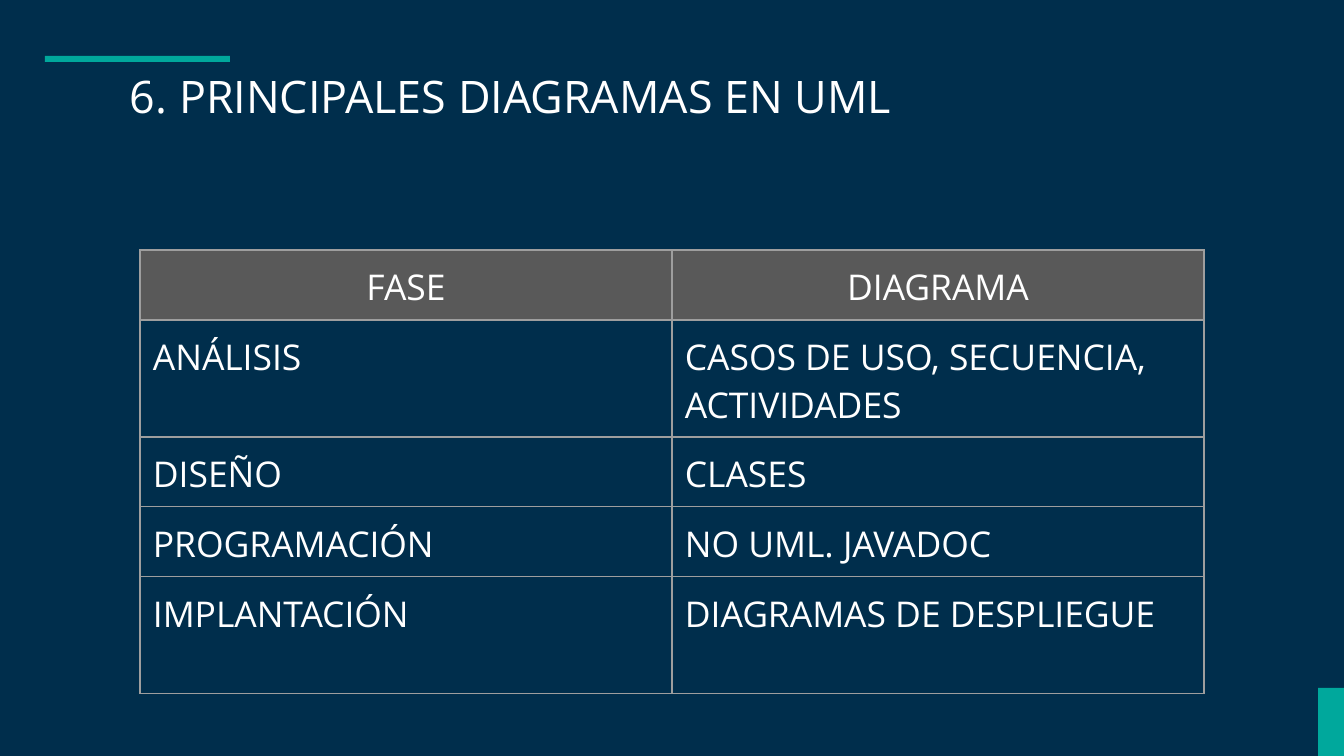
from lxml import etree
from pptx import Presentation
from pptx import util as u
from pptx.dml import color
from pptx.enum import shapes, text
from pptx.oxml import ns

SCALE = 914400 / 134.4  # EMU per px
WIDTH, HEIGHT = 1344, 756
NAVY, TEAL, WHITE, GRAY, BORDER = "002E4C", "00A89C", "FFFFFF", "595959", "9E9E9E"
INSETS = {"margin_left": 13, "margin_right": 13, "margin_top": 13, "margin_bottom": 13}

PHASES = [
    ("FASE", "DIAGRAMA"),
    ("ANÁLISIS", "CASOS DE USO, SECUENCIA, ACTIVIDADES"),
    ("DISEÑO", "CLASES"),
    ("PROGRAMACIÓN", "NO UML. JAVADOC"),
    ("IMPLANTACIÓN", "DIAGRAMAS DE DESPLIEGUE"),
]
ROW_HEIGHTS = [70, 117, 70, 70, 117]


def px(length):
    return u.Emu(round(length * SCALE))


def rgb(value):
    return color.RGBColor.from_string(value)


def paint(fill, value):
    fill.solid()
    fill.fore_color.rgb = rgb(value)


def set_insets(target):
    for side, length in INSETS.items():
        setattr(target, side, px(length))


def write(paragraph, words, size, align):
    run = paragraph.add_run()
    run.text = words
    paragraph.alignment = align
    for name, value in {"name": "Open Sans", "size": u.Pt(size), "bold": False}.items():
        setattr(run.font, name, value)
    run.font.color.rgb = rgb(WHITE)


def add_bar(slide, box, value):
    bar = slide.shapes.add_shape(shapes.MSO_SHAPE.RECTANGLE, *map(px, box))
    bar.shadow.inherit = False
    paint(bar.fill, value)
    bar.line.fill.background()


def add_footer(slide, box, accent_width):
    left, top, width, height = box
    add_bar(slide, box, NAVY)
    add_bar(slide, (left + width - accent_width, top, accent_width, height), TEAL)


def add_title(slide, box, words):
    frame = slide.shapes.add_textbox(*map(px, box)).text_frame
    frame.word_wrap = True
    set_insets(frame)
    write(frame.paragraphs[0], words, 24, text.PP_ALIGN.LEFT)


def add_borders(cell):
    properties = cell._tc.get_or_add_tcPr()
    for side in ("a:lnL", "a:lnR", "a:lnT", "a:lnB"):
        line = etree.SubElement(properties, ns.qn(side), w=str(u.Pt(0.75)))
        solid = etree.SubElement(line, ns.qn("a:solidFill"))
        etree.SubElement(solid, ns.qn("a:srgbClr"), val=BORDER)


def add_phase_table(slide, box):
    columns = len(PHASES[0])
    table = slide.shapes.add_table(len(PHASES), columns, *map(px, box)).table
    table.first_row = table.horz_banding = False
    for column in table.columns:
        column.width = px(box[2] / columns)
    for row, height, entries in zip(table.rows, ROW_HEIGHTS, PHASES):
        row.height = px(height)
        header = entries is PHASES[0]
        align = text.PP_ALIGN.CENTER if header else text.PP_ALIGN.LEFT
        for cell, words in zip(row.cells, entries):
            set_insets(cell)
            add_borders(cell)
            if header:
                paint(cell.fill, GRAY)
            else:
                cell.fill.background()
            write(cell.text_frame.paragraphs[0], words, 19, align)


def main():
    deck = Presentation()
    deck.slide_width, deck.slide_height = px(WIDTH), px(HEIGHT)
    slide = deck.slides.add_slide(deck.slide_layouts[6])
    paint(slide.background.fill, NAVY)

    # Accent line and footer
    add_bar(slide, (45, 56, 185, 6), TEAL)
    add_footer(slide, (0, 688, WIDTH, 68), 26)

    # Heading
    add_title(slide, (117, 56, 1155, 85), "6. PRINCIPALES DIAGRAMAS EN UML")

    # Diagrams by phase
    add_phase_table(slide, (140, 250, 1064, sum(ROW_HEIGHTS)))

    deck.save("out.pptx")


if __name__ == "__main__":
    main()
